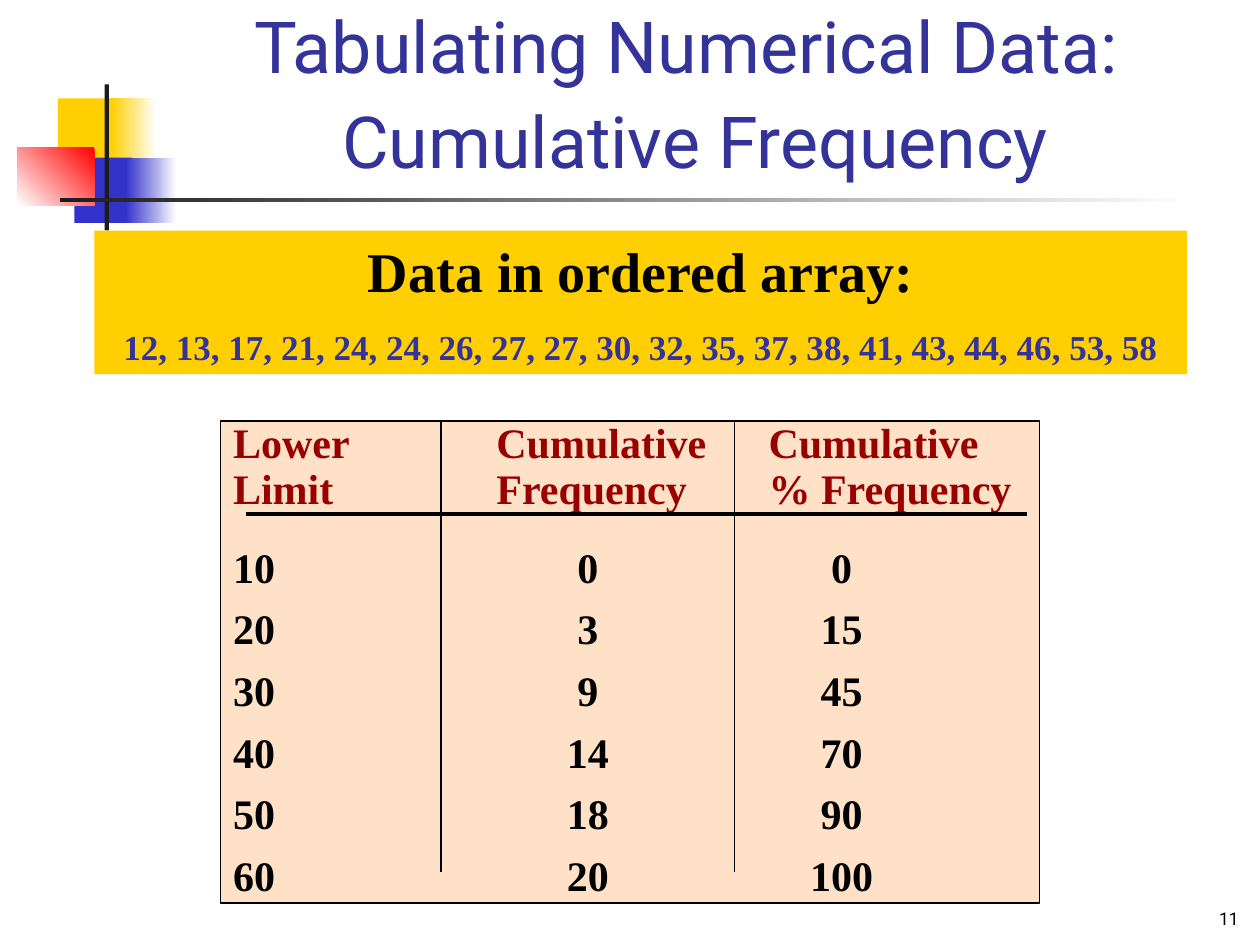
import pptx
import pptx.dml.color
import pptx.enum.shapes
import pptx.enum.text
import pptx.oxml.ns
import pptx.util
from lxml import etree

ALIGN = pptx.enum.text.PP_ALIGN
ANCHOR = pptx.enum.text.MSO_ANCHOR
COLUMNS = 100
SERIF = "Times New Roman"
SANS = "Roboto"
GOLD, BLUE, RED, DARK = "FFCF01", "3333CC", "FF0000", "1C1C1C"
WHITE, BLACK, NAVY, MAROON, PEACH = "FFFFFF", "000000", "333399", "990000", "FEE1C6"
PLAIN_TABLE = "{2D5ABB26-0587-4C30-8999-92F81FD0307C}"

deck = pptx.Presentation()
deck.slide_width = pptx.util.Inches(10)
deck.slide_height = pptx.util.Inches(7.5)
UNIT = deck.slide_width / COLUMNS


def grid(*counts):
    return [pptx.util.Emu(round(count * UNIT)) for count in counts]


def within(box, left, top, width, height):
    return box[0] + left, box[1] + top, width, height


def color(hex_code):
    return pptx.dml.color.RGBColor.from_string(hex_code)


def add_block(slide, box, start, end=None, angle=180):
    block = slide.shapes.add_shape(
        pptx.enum.shapes.MSO_SHAPE.RECTANGLE, *grid(*box))
    block.shadow.inherit = False
    block.line.fill.background()
    if end is None:
        block.fill.solid()
        block.fill.fore_color.rgb = color(start)
    else:
        block.fill.gradient()
        block.fill.gradient_angle = angle
        for stop, position, shade in zip(block.fill.gradient_stops, (0, 1), (start, end)):
            stop.position = position
            stop.color.rgb = color(shade)
    return block


def add_rule(slide, x1, y1, x2, y2, weight):
    rule = slide.shapes.add_connector(
        pptx.enum.shapes.MSO_CONNECTOR.STRAIGHT, *grid(x1, y1, x2, y2))
    rule.line.color.rgb = color(BLACK)
    rule.line.width = pptx.util.Pt(weight)
    properties = rule.element.find(pptx.oxml.ns.qn("p:spPr"))
    etree.SubElement(properties, pptx.oxml.ns.qn("a:effectLst"))


def set_frame(frame, anchor, margins):
    frame.word_wrap = True
    frame.vertical_anchor = anchor
    (frame.margin_left, frame.margin_top,
     frame.margin_right, frame.margin_bottom) = grid(*margins)


def add_run(paragraph, words, size, shade, face, bold=False):
    run = paragraph.add_run()
    run.text = words
    run.font.size = pptx.util.Pt(size)
    run.font.name = face
    run.font.bold = bold
    run.font.color.rgb = color(shade)


def add_emblem(slide, box):
    add_block(slide, within(box, 3.2, 1.1, 4.8, 5.2), GOLD)
    add_block(slide, within(box, 7.4, 1.1, 3.6, 5.2), WHITE, GOLD)
    add_block(slide, within(box, 4.5, 5.8, 4.6, 5.2), BLUE)
    add_block(slide, within(box, 8.6, 5.8, 4, 5.2), WHITE, BLUE)
    add_block(slide, within(box, 0, 5, 6.1, 4.6), RED, WHITE, 225)
    add_block(slide, within(box, 6.9, 0, 0.35, box[3]), DARK)
    add_block(slide, within(box, 3.4, 9, 90, 0.3), WHITE, DARK)


def add_title(slide, box):
    frame = slide.shapes.add_textbox(*grid(*box)).text_frame
    set_frame(frame, ANCHOR.BOTTOM, (0.9, 0.5, 0.9, 0.5))
    title = frame.paragraphs[0]
    title.alignment = ALIGN.CENTER
    title.line_spacing = 1.1
    add_run(title, "Tabulating Numerical Data: ", 41, NAVY, SANS)
    title.add_line_break()
    add_run(title, "Cumulative Frequency", 41, NAVY, SANS)


def add_ordered_array(slide, box):
    frame = add_block(slide, box, GOLD).text_frame
    set_frame(frame, ANCHOR.TOP, (1, 0.5, 1, 0.5))
    heading = frame.paragraphs[0]
    heading.alignment = ALIGN.CENTER
    add_run(heading, "Data in ordered array:", 32, BLACK, SERIF, True)
    values = frame.add_paragraph()
    values.alignment = ALIGN.CENTER
    values.space_before = pptx.util.Pt(12.5)
    add_run(values,
            "12, 13, 17, 21, 24, 24, 26, 27, 27, 30, 32, 35, 37, 38, 41, 43, 44, 46, 53, 58",
            20, NAVY, SERIF, True)


def add_frequency_table(slide, box):
    left, top, width, height = box
    headers = [("Lower", "Limit"), ("Cumulative", "Frequency"), ("Cumulative", "% Frequency")]
    limits = [("10", "0", "0"), ("20", "3", "15"), ("30", "9", "45"),
              ("40", "14", "70"), ("50", "18", "90"), ("60", "20", "100")]
    column_widths = [17.5, 23.3, width - 40.8]
    header_height = 8.9
    row_height = (height - header_height) / len(limits)
    header_indents = [1, 4.4, 2.7]
    value_margins = [(1, 0), (0, 0), (0, 7.2)]
    value_aligns = [ALIGN.LEFT, ALIGN.CENTER, ALIGN.CENTER]

    panel = add_block(slide, box, PEACH)
    panel.line.color.rgb = color(BLACK)
    panel.line.width = pptx.util.Pt(1)

    table = slide.shapes.add_table(len(limits) + 1, len(headers), *grid(*box)).table
    table.first_row = False
    table.horz_banding = False
    style = table._tbl.tblPr.find(pptx.oxml.ns.qn("a:tableStyleId"))
    style.text = PLAIN_TABLE
    for column, column_width in zip(table.columns, column_widths):
        column.width = grid(column_width)[0]
    for index, row in enumerate(table.rows):
        row.height = grid(row_height if index else header_height)[0]

    for index, lines in enumerate(headers):
        cell = table.cell(0, index)
        cell.fill.background()
        set_frame(cell, ANCHOR.TOP, (header_indents[index], 0, 0, 0))
        heading = cell.text_frame.paragraphs[0]
        add_run(heading, lines[0], 24, MAROON, SERIF, True)
        heading.add_line_break()
        add_run(heading, lines[1], 24, MAROON, SERIF, True)

    for row_index, figures in enumerate(limits, 1):
        for index, figure in enumerate(figures):
            cell = table.cell(row_index, index)
            cell.fill.background()
            margin_left, margin_right = value_margins[index]
            set_frame(cell, ANCHOR.MIDDLE, (margin_left, 0.8, margin_right, 0))
            value = cell.text_frame.paragraphs[0]
            value.alignment = value_aligns[index]
            add_run(value, figure, 24, BLACK, SERIF, True)

    add_rule(slide, left + 2, top + 7.4, left + width - 1, top + 7.4, 2)
    for divider in (column_widths[0], sum(column_widths[:2])):
        add_rule(slide, left + divider, top, left + divider, top + 35.8, 1)


def add_page_number(slide, box):
    frame = slide.shapes.add_textbox(*grid(*box)).text_frame
    set_frame(frame, ANCHOR.BOTTOM, (0.9, 0.5, 0.9, 0.5))
    number = frame.paragraphs[0]
    number.alignment = ALIGN.RIGHT
    add_run(number, "11", 10, BLACK, SANS)


def main():
    slide = deck.slides.add_slide(deck.slide_layouts[6])
    add_emblem(slide, (1.4, 6.7, 93.4, 11.6))
    add_title(slide, (12.6, 2.5, 85.2, 12.5))
    add_frequency_table(slide, (17.5, 33.4, 65, 38.3))
    add_ordered_array(slide, (7.5, 18.3, 86.7, 11.4))
    add_page_number(slide, (78.4, 69.1, 20.8, 5.1))
    deck.save("out.pptx")


if __name__ == "__main__":
    main()
